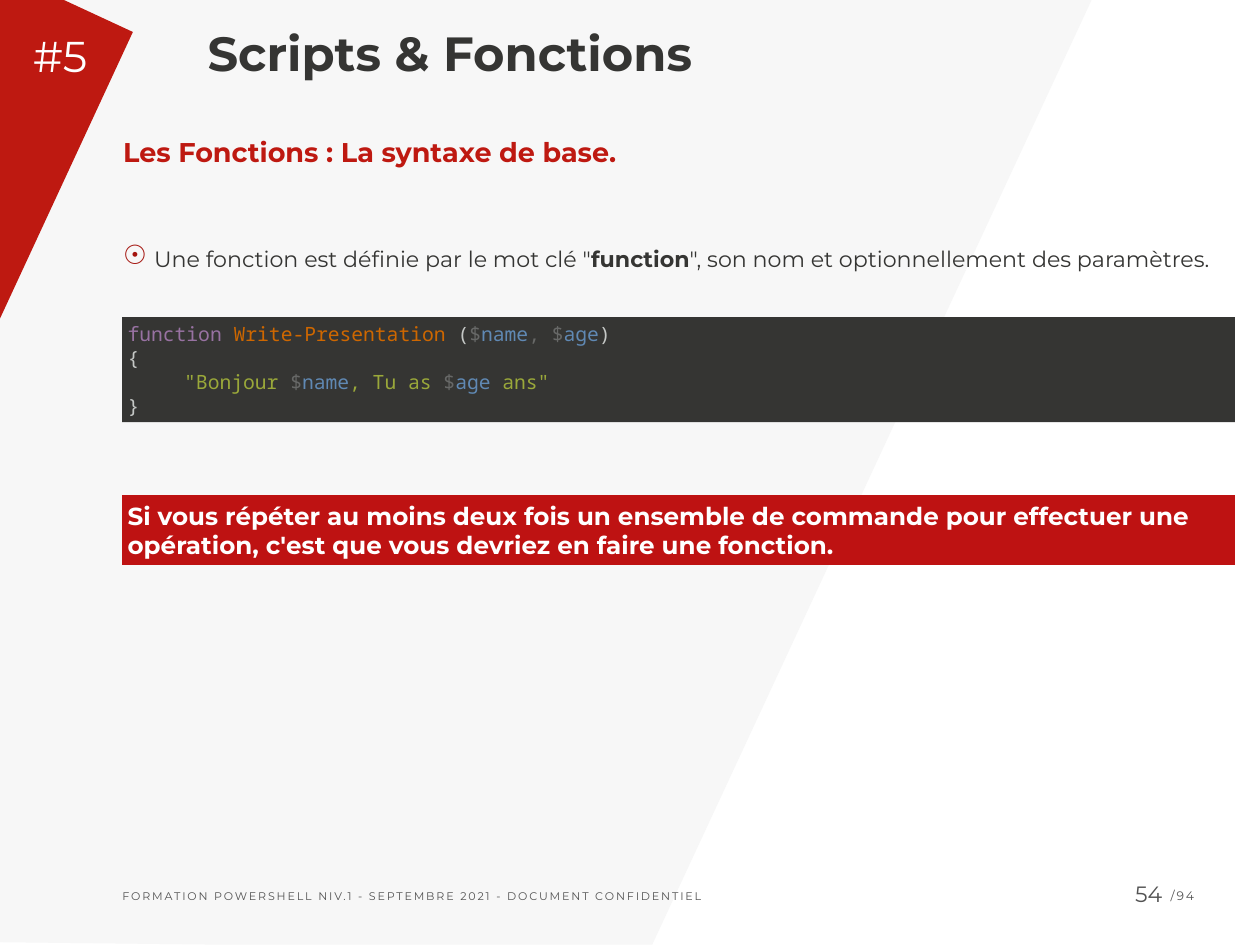
from lxml.etree import SubElement
from pptx import Presentation
from pptx.dml.color import RGBColor
from pptx.enum.shapes import MSO_SHAPE
from pptx.enum.text import MSO_ANCHOR, PP_ALIGN
from pptx.oxml.ns import qn
from pptx.util import Pt

RED, DARK, GREY, WHITE = "BE1911", "353533", "535353", "FFFFFF"
KEYWORD, COMMAND, PUNCTUATION = "9872A2", "CE6700", "C5C8C6"
SIGIL, VARIABLE, STRING = "676867", "6089B4", "9AA83A"


def color(value):
    return RGBColor.from_string(value)


def apply(target, values):
    for name, value in values.items():
        setattr(target, name, value)


class SlideBuilder:
    font = "Montserrat"
    listing_font = "Noto Sans Mono"
    inset = Pt(4.5)

    def __init__(self, slide):
        self.slide = slide

    def paint(self, shape, fill):
        shape.shadow.inherit = False
        shape.fill.solid()
        shape.fill.fore_color.rgb = color(fill)
        shape.line.fill.background()
        return shape

    def outline(self, points, fill):
        start, *rest = points
        builder = self.slide.shapes.build_freeform(*start, scale=Pt(1))
        builder.add_line_segments(rest, close=True)
        return self.paint(builder.convert_to_shape(), fill)

    def band(self, left, top, width, height, fill):
        band = self.slide.shapes.add_shape(
            MSO_SHAPE.RECTANGLE, Pt(left), Pt(top), Pt(width), Pt(height))
        return self.prepare(self.paint(band, fill), MSO_ANCHOR.MIDDLE)

    def text_area(self, left, top, width, height, anchor=MSO_ANCHOR.TOP, inset=inset):
        area = self.slide.shapes.add_textbox(
            Pt(left), Pt(top), Pt(width), Pt(height))
        return self.prepare(area, anchor, inset)

    def prepare(self, shape, anchor, inset=inset):
        frame = shape.text_frame
        apply(frame, {"word_wrap": True, "vertical_anchor": anchor,
                      "margin_left": inset, "margin_right": inset,
                      "margin_top": inset, "margin_bottom": inset})
        return frame

    def paragraph(self, frame, runs, size, font=font, tracking=0, **layout):
        paragraph = frame.paragraphs[-1]
        if paragraph.runs:
            paragraph = frame.add_paragraph()
        apply(paragraph, {"alignment": PP_ALIGN.LEFT, **layout})
        for content, tint, bold in runs:
            run = paragraph.add_run()
            run.text = content
            apply(run.font, {"size": Pt(size), "name": font, "bold": bold})
            run.font.color.rgb = color(tint)
            if tracking:
                run._r.get_or_add_rPr().set("spc", str(int(tracking * 100)))
        return paragraph

    def bullet(self, paragraph, symbol, tint, percent, indent):
        properties = paragraph._p.get_or_add_pPr()
        properties.set("marL", str(Pt(indent)))
        properties.set("indent", str(-Pt(indent)))
        SubElement(SubElement(properties, qn("a:buClr")),
                   qn("a:srgbClr"), val=tint)
        SubElement(properties, qn("a:buSzPct"), val=str(percent * 1000))
        SubElement(properties, qn("a:buChar"), char=symbol)

    def tab_stop(self, paragraph, position):
        stops = SubElement(paragraph._p.get_or_add_pPr(), qn("a:tabLst"))
        SubElement(stops, qn("a:tab"), pos=str(Pt(position)), algn="l")

    def listing(self, frame, lines):
        for line in lines:
            runs = [(content, tint, False) for content, tint in line]
            paragraph = self.paragraph(frame, runs, 16, self.listing_font,
                                       line_spacing=Pt(19.5))
            self.tab_stop(paragraph, 46)


def main():
    deck = Presentation()
    deck.slide_width, deck.slide_height = Pt(1023.84), Pt(768.24)
    page = SlideBuilder(deck.slides.add_slide(deck.slide_layouts[6]))

    page.outline([(0, 0), (886.6, 0), (529.5, 768.24), (180, 768.24), (0, 766)],
                 "F7F7F7")
    page.outline([(0, 0), (52, 0), (108.2, 26.4), (0, 259.2)], RED)

    footer = page.text_area(95, 718.6, 752, 19)
    page.paragraph(footer, [("FORMATION POWERSHELL NIV.1 - SEPTEMBRE 2021 - DOCUMENT CONFIDENTIEL",
                             GREY, False)], 9, tracking=1.5)
    page_count = page.text_area(946.8, 717.8, 57, 20)
    page.paragraph(page_count, [("/94", GREY, False)], 10, tracking=1.5)
    page_number = page.text_area(899, 711.4, 50, 27)
    page.paragraph(page_number, [("54", GREY, False)], 18, alignment=PP_ALIGN.RIGHT)

    title = page.text_area(164.2, 0, 859.6, 70.6, MSO_ANCHOR.BOTTOM)
    page.paragraph(title, [("Scripts & Fonctions", DARK, True)], 39)
    chapter = page.text_area(22.3, 19.4, 60, 51)
    page.paragraph(chapter, [("#5", WHITE, False)], 35)

    body = page.text_area(100.1, 110.2, 903, 130, inset=0)
    page.paragraph(body, [("Les Fonctions : La syntaxe de base.", RED, True)], 22)
    definition = page.paragraph(body, [
        ("Une fonction est définie par le mot clé \"", DARK, False),
        ("function", DARK, True),
        ("\", son nom et optionnellement des paramètres.", DARK, False),
    ], 18, space_before=Pt(52), line_spacing=1.5)
    page.bullet(definition, "☉", "A4140E", 120, 25.2)

    syntax = page.band(99.2, 257.8, 904.2, 85.4, DARK)
    page.listing(syntax, [
        [("function ", KEYWORD), ("Write-Presentation", COMMAND),
         (" (", PUNCTUATION), ("$", SIGIL), ("name", VARIABLE),
         (", $", SIGIL), ("age", VARIABLE), (")", PUNCTUATION)],
        [("{", PUNCTUATION)],
        [("\t\"Bonjour ", STRING), ("$", SIGIL), ("name", VARIABLE),
         (", Tu as ", STRING), ("$", SIGIL), ("age ", VARIABLE),
         ("ans\"", STRING)],
        [("}", PUNCTUATION)],
    ])

    advice = page.band(99.2, 402.6, 904.2, 56.6, "BE1212")
    page.paragraph(advice, [("Si vous répéter au moins deux fois un ensemble de commande pour "
                             "effectuer une opération, c'est que vous devriez en faire une "
                             "fonction.", WHITE, True)], 20)

    deck.save("out.pptx")


if __name__ == "__main__":
    main()
